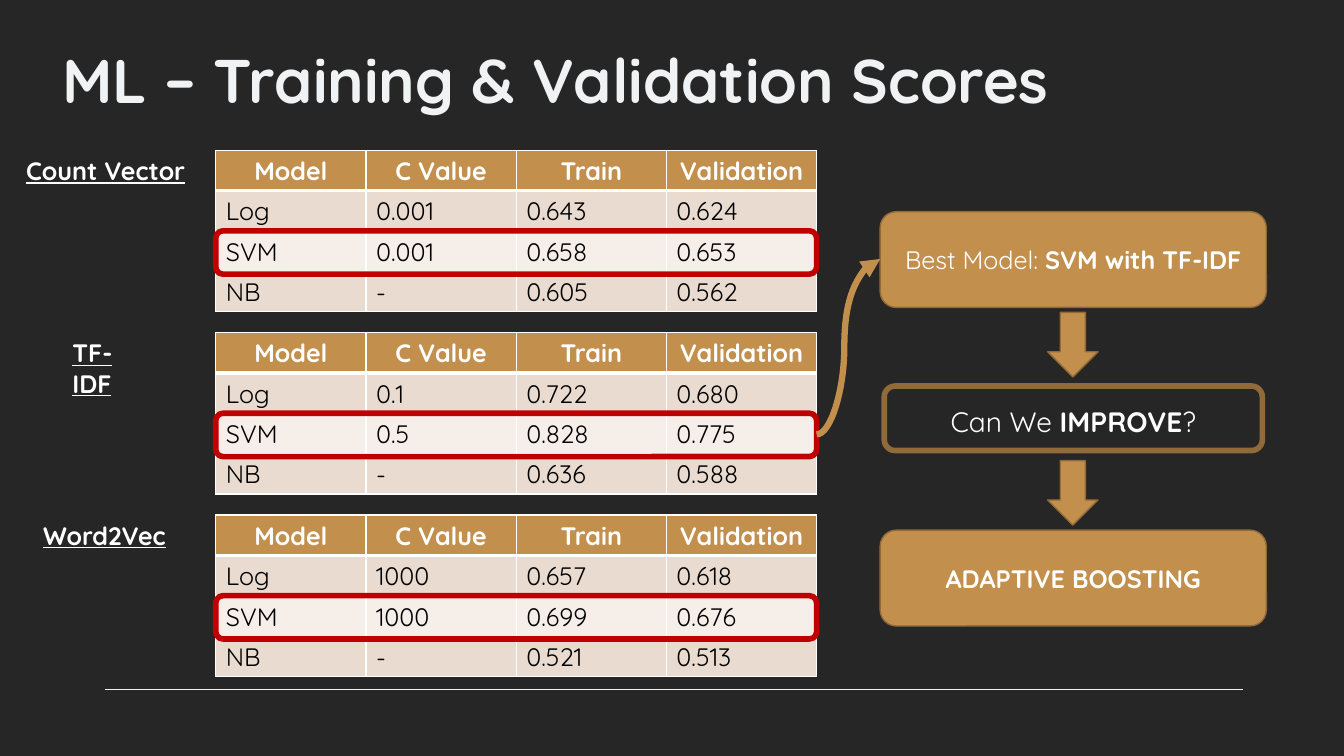
from lxml.etree import SubElement
from pptx import Presentation
from pptx.dml.color import RGBColor
from pptx.enum.shapes import MSO_CONNECTOR, MSO_SHAPE
from pptx.enum.text import MSO_ANCHOR, PP_ALIGN
from pptx.oxml import parse_xml
from pptx.oxml.ns import nsdecls, qn
from pptx.util import Emu, Pt

EMU_PER_PX = 9144
FONT = "Quicksand"
BACKGROUND = RGBColor(0x26, 0x26, 0x26)
TITLE_COLOR = RGBColor(0xF0, 0xF2, 0xF3)
WHITE = RGBColor(0xFF, 0xFF, 0xFF)
BLACK = RGBColor(0x00, 0x00, 0x00)
GOLD = RGBColor(0xC3, 0x8F, 0x4D)
DARK_GOLD = RGBColor(0x90, 0x6A, 0x39)
ROW_DARK = RGBColor(0xE9, 0xDB, 0xD0)
ROW_LIGHT = RGBColor(0xF5, 0xEE, 0xE9)
RED = RGBColor(0xC0, 0x00, 0x00)

TABLE_LEFT, TABLE_WIDTH, TABLE_HEIGHT = 214, 596, 160
TABLE_TOP, TABLE_STEP = 149, 181
HEADER = ("Model", "C Value", "Train", "Validation")
# Label, label left, label width, row height, rows
SCORES = [
    ("Count Vector", 16, 182, 37, [("Log", "0.001", "0.643", "0.624"),
                                   ("SVM", "0.001", "0.658", "0.653"),
                                   ("NB", "-", "0.605", "0.562")]),
    ("TF-IDF", 62, 90, 26, [("Log", "0.1", "0.722", "0.680"),
                            ("SVM", "0.5", "0.828", "0.775"),
                            ("NB", "-", "0.636", "0.588")]),
    ("Word2Vec", 33, 148, 26, [("Log", "1000", "0.657", "0.618"),
                               ("SVM", "1000", "0.699", "0.676"),
                               ("NB", "-", "0.521", "0.513")]),
]


def px(*lengths):
    return [Emu(length * EMU_PER_PX) for length in lengths]


def add_span(para, text, size=18, color=WHITE, bold=False, underline=None):
    span = para.add_run()
    span.text = text
    font = span.font
    font.name, font.size, font.bold, font.underline = FONT, Pt(size), bold, underline
    font.color.rgb = color


def add_text(page, bounds, anchor=MSO_ANCHOR.TOP):
    """Add an empty wrapping text box and return its first paragraph."""
    frame = page.shapes.add_textbox(*px(*bounds)).text_frame
    frame.word_wrap = True
    frame.vertical_anchor = anchor
    return frame.paragraphs[0]


def add_block(page, kind, bounds, line, line_width, fill=None):
    block = page.shapes.add_shape(kind, *px(*bounds))
    block.shadow.inherit = False
    if fill is None:
        block.fill.background()
    else:
        block.fill.solid()
        block.fill.fore_color.rgb = fill
    block.line.color.rgb = line
    block.line.width = Pt(line_width)
    return block


def add_gold_box(page, top, spans):
    box = add_block(page, MSO_SHAPE.ROUNDED_RECTANGLE, (873, top, 383, 95), DARK_GOLD, 1, GOLD)
    box.text_frame.word_wrap = True
    box.text_frame.vertical_anchor = MSO_ANCHOR.MIDDLE
    para = box.text_frame.paragraphs[0]
    para.alignment = PP_ALIGN.CENTER
    for text, bold in spans:
        add_span(para, text, bold=bold)


def add_line(page, kind, ends, color, width):
    line = page.shapes.add_connector(kind, *px(*ends))
    line.line.color.rgb = color
    line.line.width = Pt(width)
    SubElement(line._element.spPr, qn("a:effectLst"))
    return line


def add_best_model_arrow(page):
    arrow = add_line(page, MSO_CONNECTOR.CURVE, (810, 431, 873, 257), GOLD, 4.5)
    properties = arrow._element.spPr
    SubElement(properties.find(qn("a:ln")), qn("a:tailEnd"), type="triangle")
    adjustments = properties.find(qn("a:prstGeom")).find(qn("a:avLst"))
    SubElement(adjustments, qn("a:gd"), name="adj1", fmla="val 43600")


def style_cell(cell, fill, bottom_width):
    cell.fill.solid()
    cell.fill.fore_color.rgb = fill
    properties = cell._tc.get_or_add_tcPr()
    for index, side in enumerate("LRTB"):
        width = Pt(bottom_width if side == "B" else 1)
        properties.insert(index, parse_xml(
            f'<a:ln{side} {nsdecls("a")} w="{width}"><a:solidFill>'
            f'<a:srgbClr val="{WHITE}"/></a:solidFill></a:ln{side}>'))


def add_score_table(page, top, row_height, rows):
    bounds = px(TABLE_LEFT, top, TABLE_WIDTH, TABLE_HEIGHT)
    holder = page.shapes.add_table(len(rows) + 1, len(HEADER), *bounds)
    table = holder.table
    for row in table.rows:
        row.height = px(row_height)[0]
    holder.height = bounds[3]
    for row_index, values in enumerate([HEADER, *rows]):
        is_header = row_index == 0
        fill = GOLD if is_header else ROW_DARK if row_index % 2 else ROW_LIGHT
        for column, value in enumerate(values):
            cell = table.cell(row_index, column)
            style_cell(cell, fill, 3 if is_header else 1)
            para = cell.text_frame.paragraphs[0]
            if is_header:
                para.alignment = PP_ALIGN.CENTER
            add_span(para, value, color=WHITE if is_header else BLACK, bold=is_header)


def add_question(page):
    para = add_text(page, (905, 390, 319, 59))
    para.alignment = PP_ALIGN.CENTER
    para.line_spacing = 1.2
    para.space_before = Pt(10)
    for text, bold in (("Can We ", False), ("IMPROVE", True), ("?", False)):
        add_span(para, text, size=20, bold=bold)
    add_block(page, MSO_SHAPE.ROUNDED_RECTANGLE, (877, 383, 375, 64), DARK_GOLD, 4)


def main():
    deck = Presentation()
    deck.slide_width, deck.slide_height = px(1333, 750)
    page = deck.slides.add_slide(deck.slide_layouts[6])
    page.background.fill.solid()
    page.background.fill.fore_color.rgb = BACKGROUND

    add_line(page, MSO_CONNECTOR.STRAIGHT, (104, 684, 1233, 684), TITLE_COLOR, 0.85)
    title = add_text(page, (52, 1, 1230, 119), MSO_ANCHOR.BOTTOM)
    add_span(title, "ML – Training & Validation Scores", 44, TITLE_COLOR, True)

    for index, (label, left, width, row_height, rows) in enumerate(SCORES):
        top = TABLE_TOP + index * TABLE_STEP
        add_score_table(page, top, row_height, rows)
        add_span(add_text(page, (left, top, width, 40)), label, bold=True, underline=True)
        add_block(page, MSO_SHAPE.ROUNDED_RECTANGLE,
                  (TABLE_LEFT, top + 80, TABLE_WIDTH, 43), RED, 4)

    add_gold_box(page, 210, [("Best Model: ", False), ("SVM with TF-IDF", True)])
    add_question(page)
    add_gold_box(page, 526, [("ADAPTIVE BOOSTING", True)])
    for top in (317, 464):
        arrow = add_block(page, MSO_SHAPE.RIGHT_ARROW, (1032, top, 64, 50), DARK_GOLD, 1, GOLD)
        arrow.rotation = 90
    add_best_model_arrow(page)
    deck.save("out.pptx")


if __name__ == "__main__":
    main()
